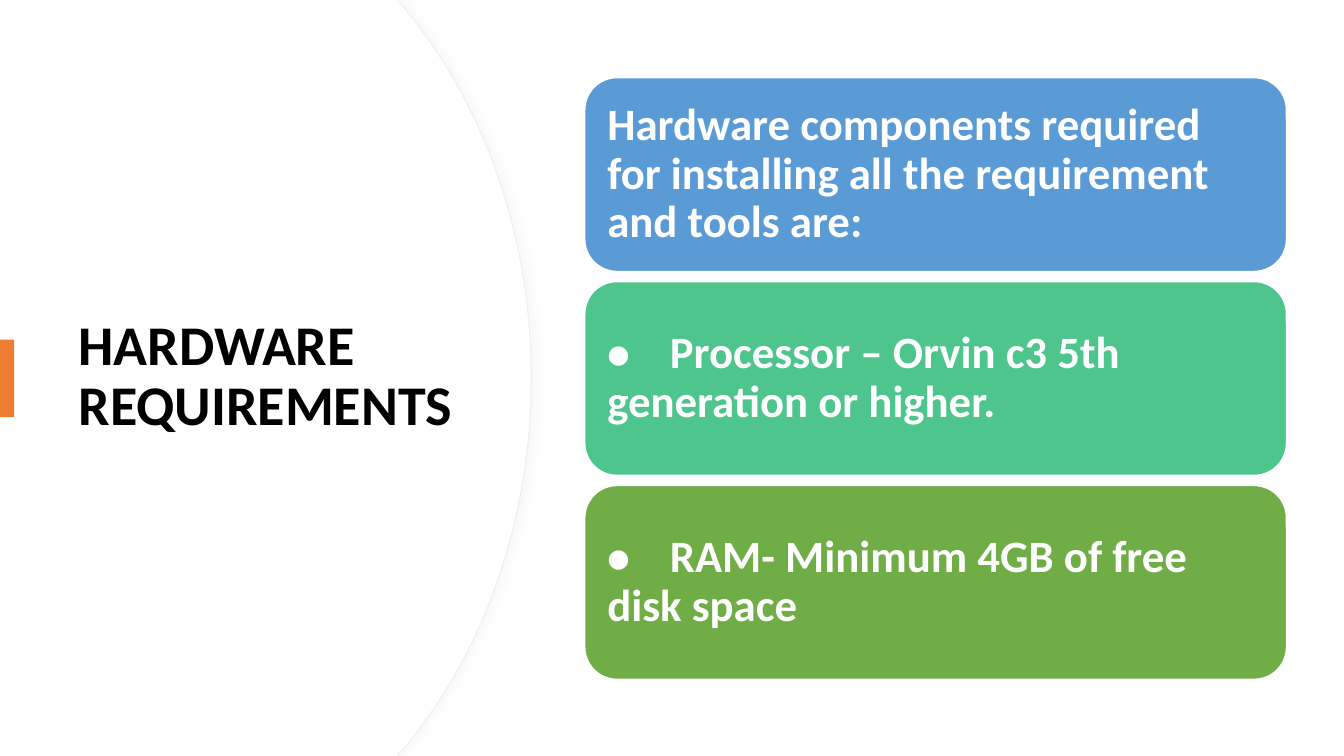
from lxml import etree
from pptx import Presentation
from pptx.dml.color import RGBColor
from pptx.enum.shapes import MSO_SHAPE
from pptx.enum.text import MSO_ANCHOR, MSO_AUTO_SIZE, PP_ALIGN
from pptx.oxml.ns import qn
from pptx.util import Inches, Pt

RECTANGLE, ROUNDED = MSO_SHAPE.RECTANGLE, MSO_SHAPE.ROUNDED_RECTANGLE
MIDDLE, LEFT, NO_FIT = MSO_ANCHOR.MIDDLE, PP_ALIGN.LEFT, MSO_AUTO_SIZE.NONE
WIDTH, HEIGHT = 13.33, 7.5
FONT = "Calibri"
TAB_STOP = 0.62
CARDS = [
    ("Hardware components required for installing all the requirement and tools are:", "5B9BD5"),
    ("⦁\tProcessor – Orvin c3 5th generation or higher.", "4DC58D"),
    ("⦁\tRAM- Minimum 4GB of free disk space", "70AD47"),
]


def color(value):
    """Turn a hex string into a colour."""
    return RGBColor.from_string(value)


def paint(shape, fill, line=None, weight=1):
    """Set the fill and outline of a shape and drop its shadow."""
    shape.shadow.inherit = False
    shape.fill.solid()
    shape.fill.fore_color.rgb = color(fill)
    if line:
        shape.line.color.rgb = color(line)
        shape.line.width = Pt(weight)
    else:
        shape.line.fill.background()


def write(frame, text, size, ink):
    """Write one bold, left-aligned paragraph centred vertically."""
    frame.text = text
    frame.word_wrap = True
    frame.auto_size = NO_FIT
    frame.vertical_anchor = MIDDLE
    para = frame.paragraphs[0]
    para.alignment = LEFT
    para.line_spacing = 0.9
    para.space_before = Pt(0)
    for span in para.runs:
        span.font.name = FONT
        span.font.size = Pt(size)
        span.font.bold = True
        span.font.color.rgb = color(ink)
    return para


def add_tab_stop(para, position):
    """Give a paragraph one left tab stop."""
    stops = etree.SubElement(para._p.get_or_add_pPr(), qn("a:tabLst"))
    etree.SubElement(stops, qn("a:tab"), pos=str(Inches(position)), algn="l")


def add_soft_shadow(shape):
    """Cast a pale shadow to the right of a shape."""
    effects = shape.element.spPr.find(qn("a:effectLst"))
    shadow = etree.SubElement(effects, qn("a:outerShdw"), blurRad=str(Pt(7)),
                              dist=str(Pt(3)), dir="0", algn="l", rotWithShape="0")
    tint = etree.SubElement(shadow, qn("a:srgbClr"), val="D9D9D9")
    etree.SubElement(tint, qn("a:alpha"), val="20000")


def bend(segment, controls):
    """Turn a straight outline segment into a curve."""
    segment.tag = qn("a:cubicBezTo")
    for place, (x, y) in enumerate(controls):
        point = etree.Element(qn("a:pt"), x=str(Inches(x)), y=str(Inches(y)))
        segment.insert(place, point)


def add_panel(page, right, line=None):
    """Draw the white panel whose right edge bulges outwards."""
    corner, start, lift, pull = ((right - 1.33, 0), (right - 1.26, 0.08),
                                 (right - 0.48, 1.02), (right, 2.32))
    mirror = [(x, HEIGHT - y) for x, y in (pull, lift, start, corner)]
    outline = [corner, start, (right, HEIGHT / 2), *mirror[2:], (0, HEIGHT)]
    builder = page.shapes.build_freeform(0, 0)
    builder.add_line_segments([(Inches(x), Inches(y)) for x, y in outline], close=True)
    panel = builder.convert_to_shape()
    segments = list(panel.element.iter(qn("a:lnTo")))
    bend(segments[2], (lift, pull))
    bend(segments[3], mirror[:2])
    paint(panel, "FFFFFF", line, 0.75)
    return panel


def add_heading(page, left, top, width, height):
    """Place the title above the panels with its accent bar."""
    title = page.shapes.title
    title.left, title.top = Inches(left), Inches(top)
    title.width, title.height = Inches(width), Inches(height)
    title.element.getparent().append(title.element)
    write(title.text_frame, "HARDWARE REQUIREMENTS", 40, "000000")
    bar = page.shapes.add_shape(RECTANGLE, 0, Inches(3.37), Inches(0.14), Inches(0.77))
    paint(bar, "ED7D31")


def add_cards(page, left, top, width, height, gap=0.1):
    """Stack equal rounded cards in the given box."""
    card_height = (height - gap * (len(CARDS) - 1)) / len(CARDS)
    for row, (text, fill) in enumerate(CARDS):
        card = page.shapes.add_shape(ROUNDED, Inches(left), Inches(top + row * (card_height + gap)),
                                     Inches(width), Inches(card_height))
        paint(card, fill, "FFFFFF")
        frame = card.text_frame
        frame.margin_left = frame.margin_right = Inches(0.13)
        frame.margin_top = frame.margin_bottom = Inches(0.13)
        para = write(frame, text, 32, "FFFFFF")
        if "\t" in text:
            add_tab_stop(para, TAB_STOP)


def main():
    """Build and save the slide."""
    deck = Presentation()
    deck.slide_width, deck.slide_height = Inches(WIDTH), Inches(HEIGHT)
    page = deck.slides.add_slide(deck.slide_layouts[5])
    page.background.fill.solid()
    page.background.fill.fore_color.rgb = color("FFFFFF")
    add_soft_shadow(add_panel(page, 5.27, "EFEFEF"))
    add_panel(page, 5.26)
    add_heading(page, 0.68, 1.27, 3.94, 4.95)
    add_cards(page, 5.8, 0.77, 6.96, 5.97)
    deck.save("out.pptx")


if __name__ == "__main__":
    main()
